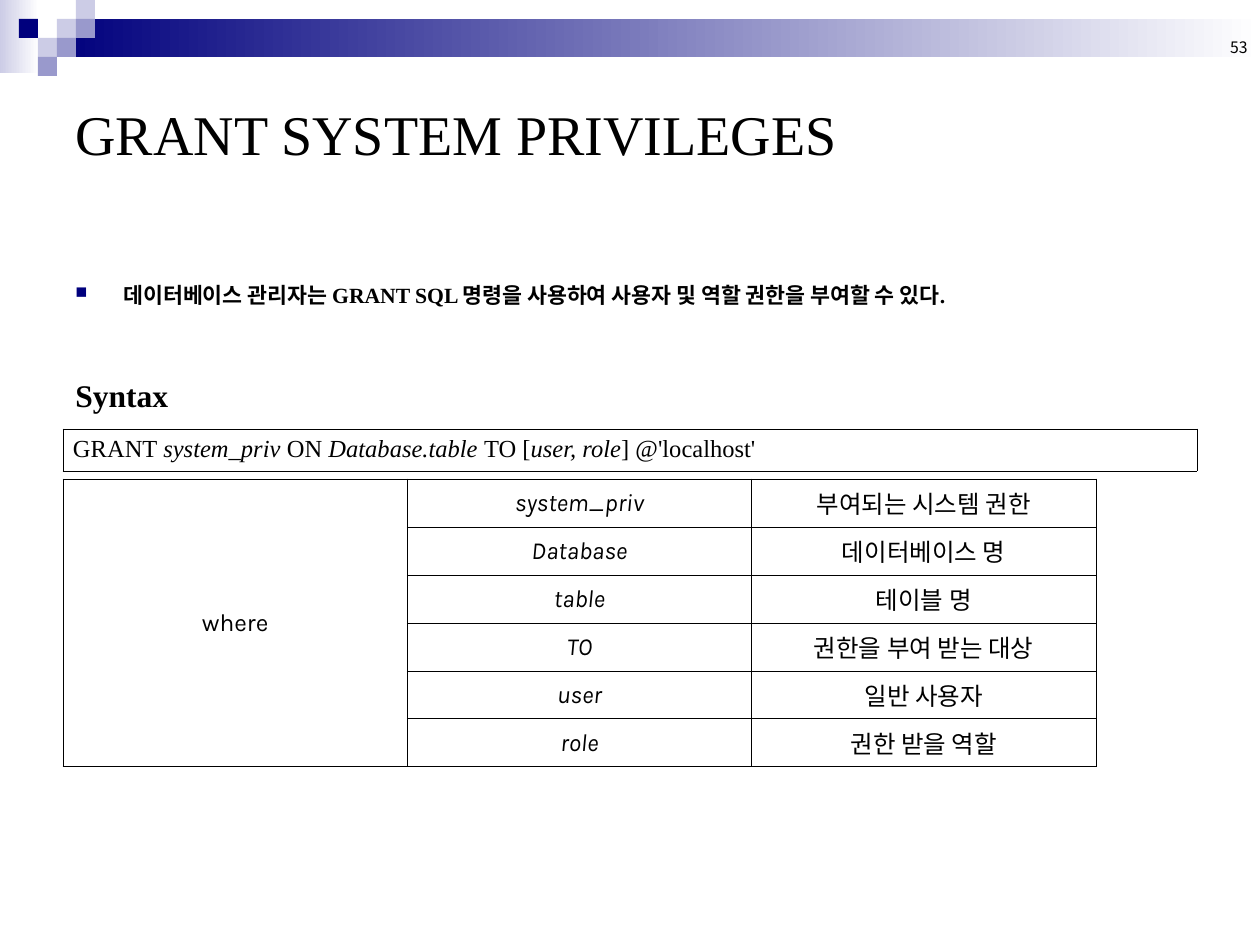
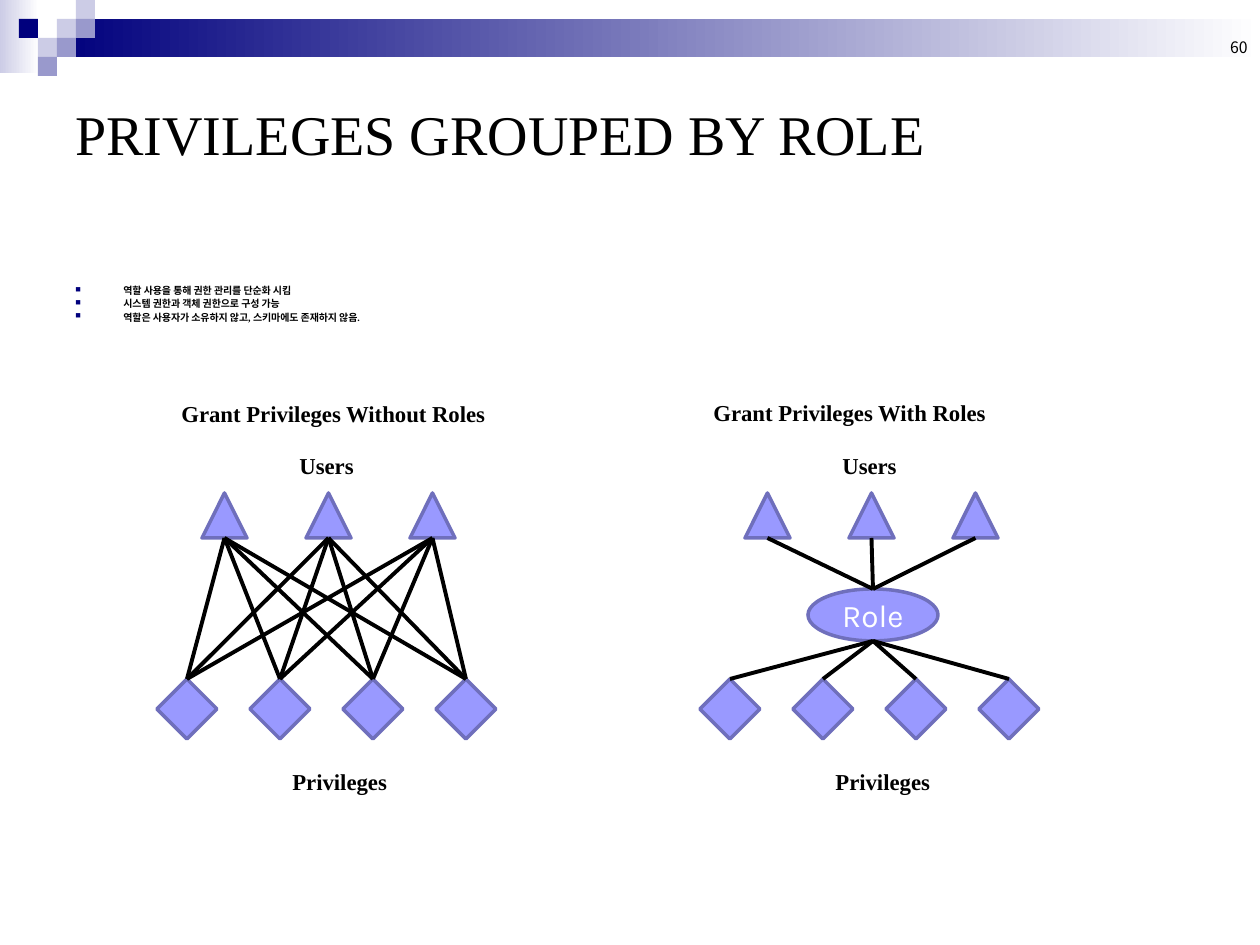
"""Build two slides on granting database privileges and grouping them by role."""
from lxml import etree
from pptx import Presentation
from pptx import util as u
from pptx.dml.color import RGBColor
from pptx.enum import shapes, text
from pptx.oxml import ns

NAVY = RGBColor(0x00, 0x00, 0x7D)
LAVENDER = RGBColor(0xCC, 0xCC, 0xE6)
MAUVE = RGBColor(0x99, 0x99, 0xCC)
PERIWINKLE = RGBColor(0x99, 0x99, 0xFF)
SLATE = RGBColor(0x6F, 0x6F, 0xBC)
BLACK = RGBColor(0, 0, 0)
WHITE = RGBColor(255, 255, 255)

SERIF, SANS, KOREAN = "Times New Roman", "Karla", "Noto Sans CJK KR"
PX_PER_INCH = 126
SLIDE_W, SLIDE_H = 1260, 945

TILE = 19
TILES = [(3, 1, LAVENDER), (4, 0, LAVENDER), (4, 1, MAUVE), (2, 2, LAVENDER),
         (1, 1, NAVY), (3, 2, MAUVE), (2, 3, MAUVE)]
FADES = [((0, 0, 39, 73), LAVENDER), ((3 * TILE, TILE, SLIDE_W - 3 * TILE, 2 * TILE), NAVY)]

GRANT = {
    "title": "GRANT SYSTEM PRIVILEGES",
    "page": "53",
    "points": ["데이터베이스 관리자는 GRANT SQL 명령을 사용하여 사용자 및 역할 권한을 부여할 수 있다."],
    "point_size": 12.4,
}
SYNTAX = [("GRANT ", False), ("system_priv", True), (" ON ", False), ("Database.table ", True),
          ("TO [", False), ("user, role", True), ("] @'localhost'", False)]
TERMS = [
    ("system_priv", "부여되는 시스템 권한"),
    ("Database", "데이터베이스 명"),
    ("table", "테이블 명"),
    ("TO", "권한을 부여 받는 대상"),
    ("user", "일반 사용자"),
    ("role", "권한 받을 역할"),
]

ROLES = {
    "title": "PRIVILEGES GROUPED BY ROLE",
    "page": "60",
    "points": ["역할 사용을 통해 권한 관리를 단순화 시킴",
               "시스템 권한과 객체 권한으로 구성 가능",
               "역할은 사용자가 소유하지 않고, 스키마에도 존재하지 않음."],
    "point_size": 5.7,
}
DIAGRAMS = [
    {"heading": "Grant Privileges Without Roles", "heading_at": (169, 394), "left": 157, "role": None},
    {"heading": "Grant Privileges With Roles", "heading_at": (701, 393), "left": 700, "role": "Role"},
]
USERS, USER_GAP, USER_SIZE, USER_TOP = 3, 104, 45, 493
PRIVILEGES, PRIVILEGE_GAP, PRIVILEGE_SIZE, PRIVILEGE_TOP = 4, 93, 60, 679
ROLE_W, ROLE_H, ROLE_TOP = 130, 52, 589


def px(*lengths):
    return [u.Emu(round(length * u.Inches(1) / PX_PER_INCH)) for length in lengths]


def write(paragraph, runs, size, font=SERIF, color=BLACK, bold=False):
    for words, italic in runs:
        run = paragraph.add_run()
        run.text = words
        run.font.size = u.Pt(size)
        run.font.bold = bold
        run.font.italic = italic
        run.font.color.rgb = color
        run.font.name = font
        etree.SubElement(run._r.get_or_add_rPr(), ns.qn("a:ea"), typeface=KOREAN)


def add_text(slide, box, words, size, anchor=text.MSO_ANCHOR.TOP, align=text.PP_ALIGN.LEFT, **style):
    frame = slide.shapes.add_textbox(*px(*box)).text_frame
    frame.word_wrap = True
    frame.vertical_anchor = anchor
    frame.paragraphs[0].alignment = align
    write(frame.paragraphs[0], [(words, False)], size, **style)


def add_points(slide, points, size):
    frame = slide.shapes.add_textbox(*px(63, 281, 992, 63)).text_frame
    frame.word_wrap = True
    for number, point in enumerate(points):
        paragraph = frame.add_paragraph() if number else frame.paragraphs[0]
        indent = px(48)[0]
        props = paragraph._p.get_or_add_pPr()
        props.set("marL", str(indent))
        props.set("indent", str(-indent))
        color = etree.SubElement(props, ns.qn("a:buClr"))
        etree.SubElement(color, ns.qn("a:srgbClr"), val=str(NAVY))
        etree.SubElement(props, ns.qn("a:buSzPct"), val="75000")
        etree.SubElement(props, ns.qn("a:buChar"), char="■")
        paragraph.line_spacing = 0.8
        paragraph.space_before = u.Pt(2 if number else 0)
        write(paragraph, [(point, False)], size, bold=True)


def add_figure(slide, kind, box, color, outline=None):
    figure = slide.shapes.add_shape(kind, *px(*box))
    figure.shadow.inherit = False
    figure.fill.solid()
    figure.fill.fore_color.rgb = color
    if outline:
        figure.line.color.rgb = outline
        figure.line.width = u.Pt(2)
    else:
        figure.line.fill.background()
    return figure


def add_link(slide, start, end, target=None):
    link = slide.shapes.add_connector(shapes.MSO_CONNECTOR.STRAIGHT, *px(*start, *end))
    link.line.color.rgb = BLACK
    link.line.width = u.Pt(2.25)
    etree.SubElement(link._element.spPr, ns.qn("a:effectLst"))
    if target:
        link.end_connect(target, 0)


def add_page(deck, content):
    slide = deck.slides.add_slide(deck.slide_layouts[6])
    rectangle = shapes.MSO_SHAPE.RECTANGLE
    for box, color in FADES:
        fade = add_figure(slide, rectangle, box, color)
        fade.fill.gradient()
        fade.fill.gradient_angle = 0
        for stop, shade in zip(fade.fill.gradient_stops, (color, WHITE)):
            stop.color.rgb = shade
    for column, row, color in TILES:
        add_figure(slide, rectangle, (column * TILE, row * TILE, TILE, TILE), color)
    add_text(slide, (966, 0, 294, 63), content["page"], 9, text.MSO_ANCHOR.BOTTOM,
             text.PP_ALIGN.RIGHT, font=KOREAN)
    add_text(slide, (63, 63, 1134, 141), content["title"], 32, text.MSO_ANCHOR.MIDDLE)
    add_points(slide, content["points"], content["point_size"])
    return slide


def add_grid(slide, rows, columns, box):
    grid = slide.shapes.add_table(rows, columns, *px(*box)).table
    grid.first_row = grid.horz_banding = False
    for cell in grid.iter_cells():
        cell.margin_left = cell.margin_right = px(10)[0]
        cell.vertical_anchor = text.MSO_ANCHOR.MIDDLE
        props = cell._tc.get_or_add_tcPr()
        for side in ("lnL", "lnR", "lnT", "lnB"):
            border = etree.SubElement(props, ns.qn(f"a:{side}"), w=str(u.Pt(0.45)))
            fill = etree.SubElement(border, ns.qn("a:solidFill"))
            etree.SubElement(fill, ns.qn("a:srgbClr"), val=str(BLACK))
        cell.fill.background()
    return grid


def add_term(cell, words, italic=False):
    paragraph = cell.text_frame.paragraphs[0]
    paragraph.alignment = text.PP_ALIGN.CENTER
    write(paragraph, [(words, italic)], 14, SANS)


def add_diagram(slide, diagram):
    left = diagram["left"]
    user_left = left + 45
    add_text(slide, (*diagram["heading_at"], 347, 40), diagram["heading"], 13, bold=True)
    add_text(slide, (left + 130, 446, 84, 40), "Users", 13, bold=True)
    add_text(slide, (left + 123, 762, 145, 40), "Privileges", 13, bold=True)

    user_feet = []
    for number in range(USERS):
        x = user_left + number * USER_GAP
        add_figure(slide, shapes.MSO_SHAPE.ISOSCELES_TRIANGLE,
                   (x, USER_TOP, USER_SIZE, USER_SIZE), PERIWINKLE, SLATE)
        user_feet.append((x + USER_SIZE / 2, USER_TOP + USER_SIZE))
    privileges = []
    for number in range(PRIVILEGES):
        x = left + number * PRIVILEGE_GAP
        diamond = add_figure(slide, shapes.MSO_SHAPE.DIAMOND,
                             (x, PRIVILEGE_TOP, PRIVILEGE_SIZE, PRIVILEGE_SIZE), PERIWINKLE, SLATE)
        privileges.append((diamond, (x + PRIVILEGE_SIZE / 2, PRIVILEGE_TOP)))

    sources = user_feet
    if diagram["role"]:
        role_left = left + 108
        role = add_figure(slide, shapes.MSO_SHAPE.OVAL,
                          (role_left, ROLE_TOP, ROLE_W, ROLE_H), PERIWINKLE, SLATE)
        label = role.text_frame.paragraphs[0]
        label.alignment = text.PP_ALIGN.CENTER
        write(label, [(diagram["role"], False)], 18, SANS, WHITE)
        middle = role_left + ROLE_W / 2
        for foot in user_feet:
            add_link(slide, foot, (middle, ROLE_TOP), role)
        sources = [(middle, ROLE_TOP + ROLE_H)]
    for source in sources:
        for diamond, tip in privileges:
            add_link(slide, source, tip, diamond)


def build_grant(deck):
    slide = add_page(deck, GRANT)
    add_text(slide, (63, 370, 843, 52), "Syntax", 18, bold=True)
    syntax = add_grid(slide, 1, 1, (63, 429, 1134, 39)).cell(0, 0)
    syntax.vertical_anchor = text.MSO_ANCHOR.TOP
    write(syntax.text_frame.paragraphs[0], SYNTAX, 14)

    terms = add_grid(slide, len(TERMS), 3, (63, 479, 1033, 48 * len(TERMS)))
    terms.cell(0, 0).merge(terms.cell(len(TERMS) - 1, 0))
    add_term(terms.cell(0, 0), "where")
    for row, (term, meaning) in enumerate(TERMS):
        add_term(terms.cell(row, 1), term, italic=True)
        add_term(terms.cell(row, 2), meaning)


def build_roles(deck):
    slide = add_page(deck, ROLES)
    for diagram in DIAGRAMS:
        add_diagram(slide, diagram)


def main():
    deck = Presentation()
    deck.slide_width, deck.slide_height = px(SLIDE_W, SLIDE_H)
    build_grant(deck)
    build_roles(deck)
    deck.save("out.pptx")


if __name__ == "__main__":
    main()
